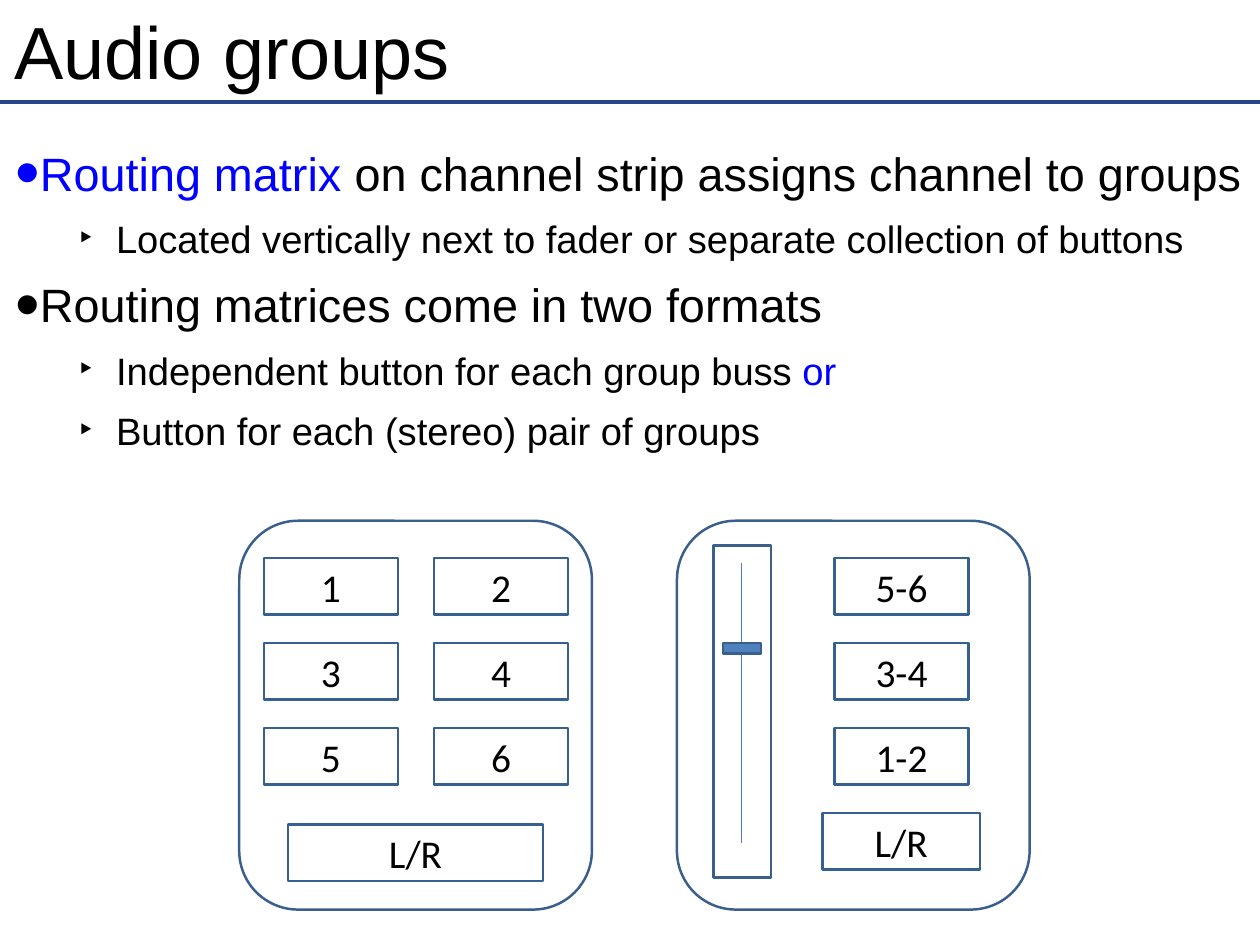
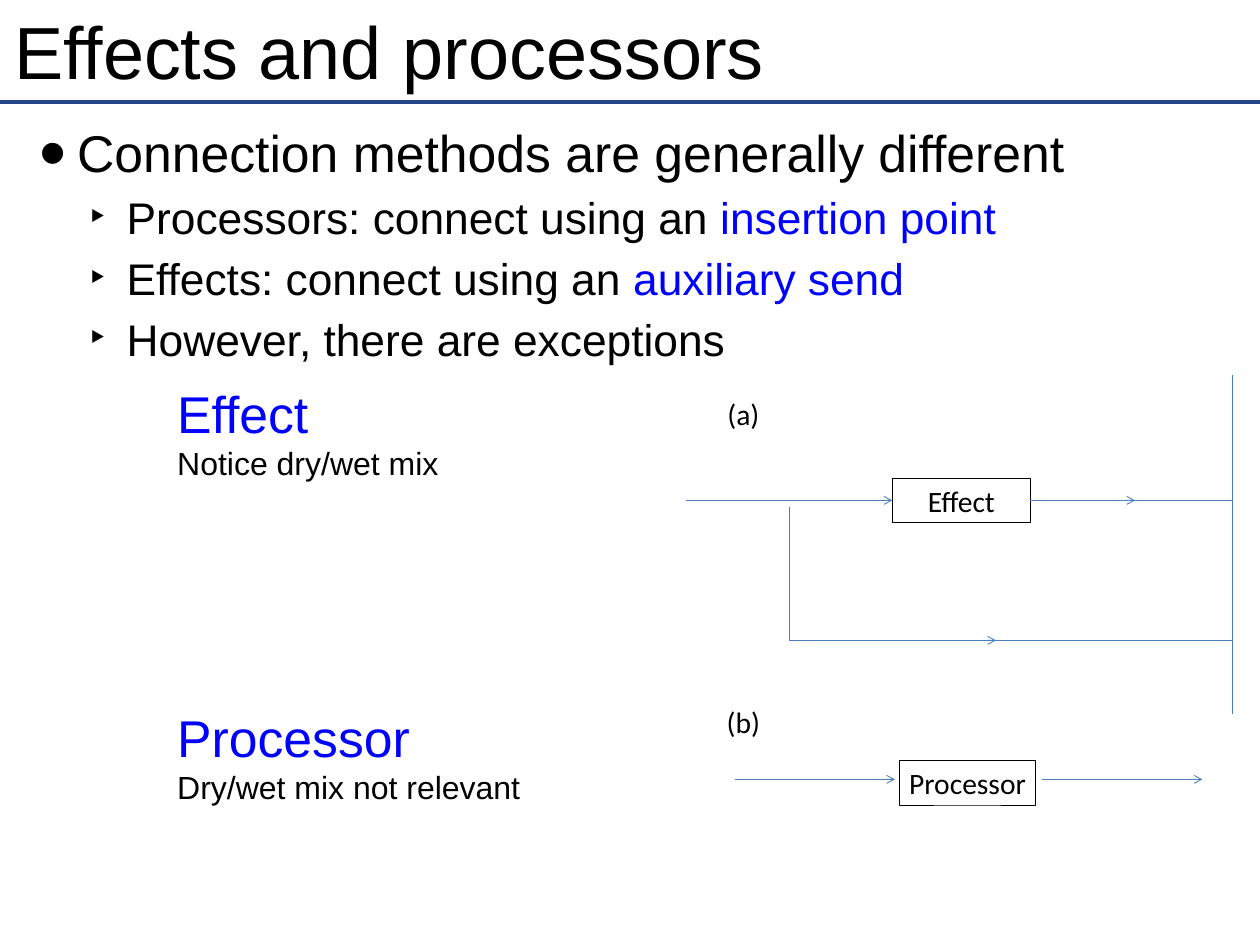
from dataclasses import dataclass
from itertools import product

from lxml.etree import SubElement
from pptx import Presentation
from pptx.dml.color import RGBColor
from pptx.enum.shapes import MSO_CONNECTOR as Link, MSO_SHAPE as Kind
from pptx.enum.text import MSO_ANCHOR as Anchor, PP_ALIGN as Align
from pptx.oxml.ns import qn
from pptx.util import Inches, Pt

BLACK, BLUE, WHITE = "000000", "0000FF", "FFFFFF"
RULE, WIRE, EDGE, FRAME, KNOB = "254789", "4B7EBC", "376092", "3A5F8C", "4F81BD"
HEAD, LABEL = "Arial", "Calibri"


@dataclass(frozen=True)
class Mark:
    """A bullet with its text indent, hanging indent and size in percent."""
    char: str
    left: float
    hang: float
    scale: int


@dataclass(frozen=True)
class Para:
    """A paragraph of (text, colour) runs."""
    runs: tuple[tuple[str, str], ...]
    size: float
    mark: Mark | None = None


@dataclass(frozen=True)
class Button:
    text: str
    x: float
    y: float
    w: float = 1.51
    h: float = 0.64


TIGHT = Mark("•", 0.39, 0.28, 150)
DOT = Mark("•", 0.69, 0.42, 150)
SUB = Mark("‣", 1.25, 0.42, 100)


def tint(code):
    return RGBColor.from_string(code)


def plain(text, size, color=BLACK, mark=None):
    return Para(((text, color),), size, mark)


def bullet(para, mark):
    props = para._p.get_or_add_pPr()
    props.set("marL", str(Inches(mark.left)))
    props.set("indent", str(-Inches(mark.hang)))
    SubElement(props, qn("a:buSzPct")).set("val", str(mark.scale * 1000))
    SubElement(props, qn("a:buFont")).set("typeface", HEAD)
    SubElement(props, qn("a:buChar")).set("char", mark.char)


def write(shape, paras, *, font=HEAD, align=Align.LEFT, anchor=Anchor.MIDDLE,
          inset=0.06, before=0, after=0, wrap=True):
    frame = shape.text_frame
    frame.word_wrap = wrap
    frame.vertical_anchor = anchor
    frame.margin_left = frame.margin_right = Inches(inset)
    frame.margin_top = frame.margin_bottom = Inches(inset)
    for i, item in enumerate(paras):
        para = frame.add_paragraph() if i else frame.paragraphs[0]
        if item.mark:
            bullet(para, item.mark)
        para.alignment = align
        para.space_before = Pt(before if i else 0)
        para.space_after = Pt(after)
        for text, color in item.runs:
            run = para.add_run()
            run.text = text
            run.font.name = font
            run.font.size = Pt(item.size)
            run.font.color.rgb = tint(color)


def text(slide, x, y, w, h, paras, **style):
    box = slide.shapes.add_textbox(Inches(x), Inches(y), Inches(w), Inches(h))
    write(box, paras, **style)


def block(slide, x, y, w, h, *, kind=Kind.RECTANGLE, edge=FRAME, width=2.0, fill=None):
    shape = slide.shapes.add_shape(kind, Inches(x), Inches(y), Inches(w), Inches(h))
    shape.shadow.inherit = False
    if fill:
        shape.fill.solid()
        shape.fill.fore_color.rgb = tint(fill)
    else:
        shape.fill.background()
    shape.line.color.rgb = tint(edge)
    shape.line.width = Pt(width)
    return shape


def wire(slide, x1, y1, x2, y2, *, color=WIRE, width=0.75, arrow=False):
    line = slide.shapes.add_connector(
        Link.STRAIGHT, Inches(x1), Inches(y1), Inches(x2), Inches(y2))
    line.line.color.rgb = tint(color)
    line.line.width = Pt(width)
    if arrow:
        SubElement(line.line._get_or_add_ln(), qn("a:tailEnd")).set("type", "arrow")
    SubElement(line._element.spPr, qn("a:effectLst"))
    return line


def label(shape, word, size):
    write(shape, [plain(word, size)], font=LABEL, align=Align.CENTER, inset=0.05, wrap=False)


def start(deck, title):
    """Add a slide with the shared background, rule and title."""
    slide = deck.slides.add_slide(deck.slide_layouts[6])
    slide.background.fill.solid()
    slide.background.fill.fore_color.rgb = tint(WHITE)
    wire(slide, 0, 1.15, 14.22, 1.15, color=RULE, width=3)
    text(slide, 0.1, 0.06, 14.01, 1.01, [plain(title, 60)])
    return slide


def groups(deck):
    slide = start(deck, "Audio groups")
    text(slide, 0, 1.22, 14.22, 4.31, [
        Para((("Routing matrix", BLUE),
              (" on channel strip assigns channel to groups", BLACK)), 38, TIGHT),
        plain("Located vertically next to fader or separate collection of buttons", 31, mark=SUB),
        plain("Routing matrices come in two formats", 38, mark=TIGHT),
        Para((("Independent button for each group buss ", BLACK), ("or", BLUE)), 31, SUB),
        plain("Button for each (stereo) pair of groups", 31, mark=SUB),
    ], before=6, after=6)

    rows = [6.3 + 0.96 * i for i in range(3)]
    cells = product(rows, (2.98, 4.9))
    buttons = [Button(str(n), x, y) for n, (y, x) in enumerate(cells, 1)]
    buttons += [Button(pair, 9.42, y) for pair, y in zip(("5-6", "3-4", "1-2"), rows)]
    buttons += [Button("L/R", 3.25, 9.31, 2.88), Button("L/R", 9.28, 9.18, 1.78)]
    for b in buttons:
        label(block(slide, b.x, b.y, b.w, b.h, edge=EDGE), b.text, 32)

    block(slide, 8.05, 6.16, 0.65, 3.75)
    wire(slide, 8.37, 6.36, 8.37, 9.52)
    block(slide, 8.16, 7.26, 0.43, 0.12, fill=KNOB)
    for x in (2.7, 7.64):
        block(slide, x, 5.88, 3.98, 4.39, kind=Kind.ROUNDED_RECTANGLE)


def effects(deck):
    slide = start(deck, "Effects and processors")
    text(slide, 0.12, 1.28, 14.01, 2.93, [
        plain("Connection methods are generally different", 42, mark=DOT),
        Para((("Processors: connect using an ", BLACK), ("insertion point", BLUE)), 36, SUB),
        Para((("Effects: connect using an ", BLACK), ("auxiliary send", BLUE)), 36, SUB),
        plain("However, there are exceptions", 36, mark=SUB),
    ], before=6)
    for y, name, note in ((4.28, "Effect", "Notice dry/wet mix"),
                          (7.94, "Processor", "Dry/wet mix not relevant")):
        text(slide, 2, y, 5.04, 1.19, [plain(name, 42, BLUE), plain(note, 26)], inset=0)

    effect = block(slide, 10.07, 5.4, 1.56, 0.5, edge=BLACK, width=0.75)
    label(effect, "Effect", 24)
    label(block(slide, 10.15, 8.59, 1.54, 0.5, edge=BLACK, width=0.75), "Processor", 24)

    wire(slide, 7.74, 5.65, 10.07, 5.65, arrow=True).end_connect(effect, 1)
    wire(slide, 11.63, 5.65, 12.81, 5.65, arrow=True).begin_connect(effect, 3)
    for x1, y1, x2, y2, arrow in (
        (12.74, 5.65, 13.91, 5.65, False),
        (8.91, 5.73, 8.91, 7.23, False),
        (8.91, 7.23, 11.24, 7.23, True),
        (11.07, 7.23, 13.91, 7.23, False),
        (13.91, 4.23, 13.91, 8.06, False),
        (8.29, 8.8, 10.1, 8.8, True),
        (11.76, 8.8, 13.57, 8.8, True),
    ):
        wire(slide, x1, y1, x2, y2, arrow=arrow)

    for y, tag in ((4.42, "(a)"), (7.9, "(b)")):
        text(slide, 8.1, y, 0.58, 0.5, [plain(tag, 24)], font=LABEL,
             align=Align.CENTER, inset=0.05, wrap=False)


def main():
    deck = Presentation()
    deck.slide_width, deck.slide_height = Inches(14.22), Inches(10.67)
    groups(deck)
    effects(deck)
    deck.save("out.pptx")


if __name__ == "__main__":
    main()
